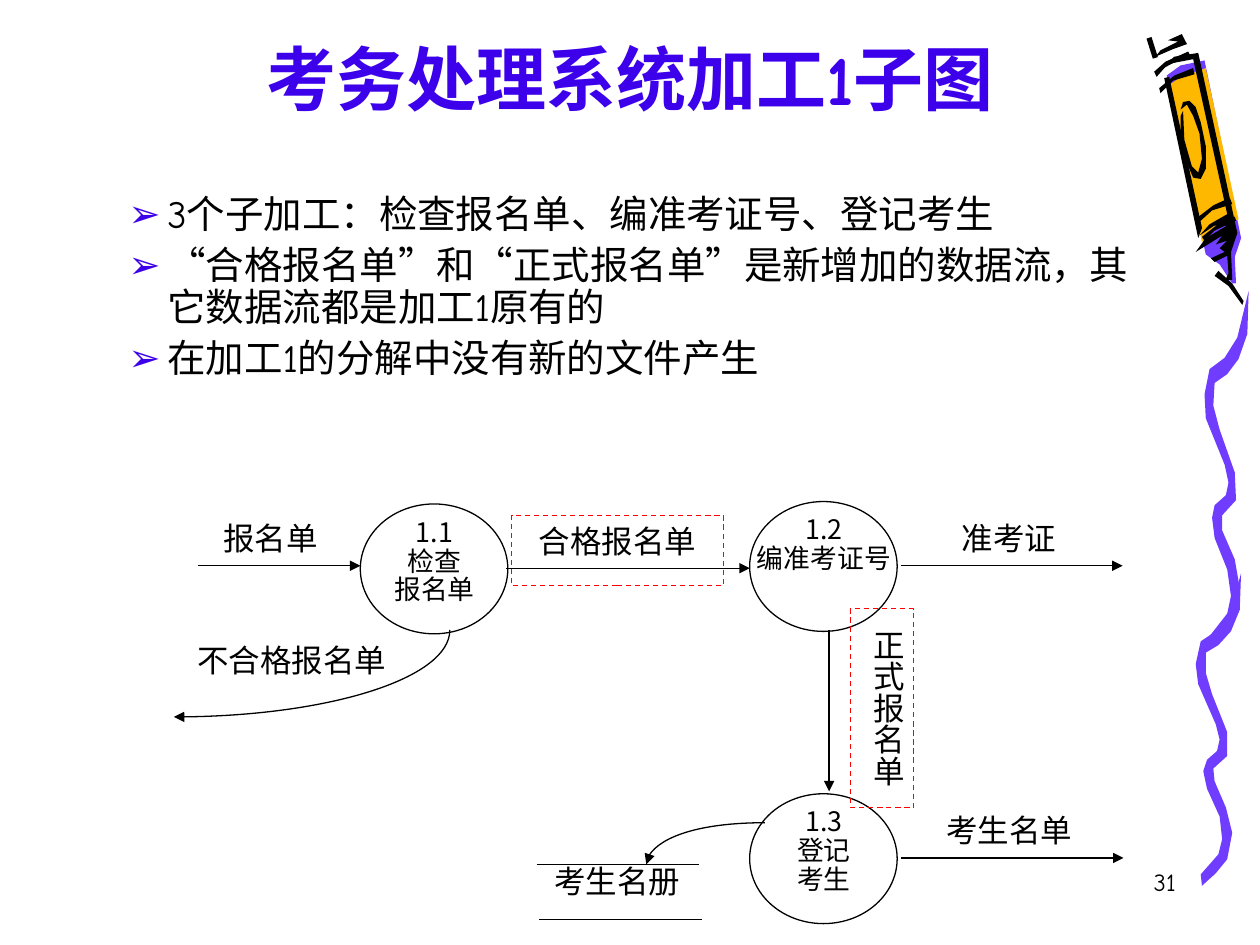
"""Build the slide on sub-diagram 1 of the examination system."""
import itertools

import lxml.etree
import pptx
import pptx.dml.color
import pptx.enum.dml
import pptx.enum.lang
import pptx.enum.shapes
import pptx.enum.text
import pptx.oxml.ns
import pptx.util

Pt = pptx.util.Pt
qn = pptx.oxml.ns.qn
RGBColor = pptx.dml.color.RGBColor
ALIGN = pptx.enum.text.PP_ALIGN
ANCHOR = pptx.enum.text.MSO_ANCHOR
SHAPE = pptx.enum.shapes.MSO_SHAPE

BLACK = RGBColor(0x00, 0x00, 0x00)
RED = RGBColor(0xFF, 0x00, 0x00)
BLUE = RGBColor(0x3D, 0x00, 0xEA)
PURPLE = RGBColor(0x70, 0x3D, 0xFF)
AMBER = RGBColor(0xFF, 0xB8, 0x00)

HUNDREDTH_INCH = Pt(0.72)

SQUIGGLES = [
    [(953, 694), (967, 678), (970, 666), (968, 648), (958, 626), (955, 612), (958, 603),
     (966, 596), (968, 587), (965, 575), (951, 543), (949, 527), (953, 509), (965, 501),
     (976, 487), (985, 455), (984, 484), (977, 501), (967, 512), (957, 518), (957, 534),
     (962, 551), (974, 581), (974, 600), (963, 610), (964, 620), (973, 641), (978, 661),
     (974, 682), (965, 693), (954, 703)],
    [(960, 505), (974, 487), (977, 473), (974, 452), (964, 427), (962, 411), (964, 401),
     (973, 393), (975, 383), (972, 369), (957, 332), (956, 313), (960, 293), (972, 284),
     (982, 268), (991, 231), (990, 265), (983, 285), (974, 297), (964, 304), (963, 322),
     (968, 341), (980, 375), (981, 397), (970, 409), (970, 421), (980, 444), (984, 467),
     (980, 491), (972, 504), (961, 515)],
]
PENCIL_SHADE = [(926, 60), (957, 202), (968, 210), (978, 225), (981, 225), (980, 204),
                (985, 189), (956, 48), (937, 52)]
PENCIL_BODY = [(954, 192), (968, 179), (983, 174), (957, 54), (936, 62), (927, 68)]
PENCIL_STROKES = [
    [(964, 219), (975, 227), (986, 242), (987, 239), (978, 225), (967, 215)],
    [(917, 45), (931, 39), (942, 35), (938, 27), (927, 32), (935, 33), (921, 40)],
    [(937, 92), (937, 106), (941, 127), (947, 141), (953, 142), (957, 134), (957, 116),
     (953, 97), (949, 85), (944, 80), (939, 81), (937, 87), (942, 83), (947, 92),
     (952, 106), (954, 126), (951, 137), (946, 132), (940, 111), (939, 88)],
    [(924, 62), (951, 189), (954, 181), (928, 61)],
    [(949, 200), (957, 189), (974, 179), (964, 179), (952, 187), (960, 178), (974, 170),
     (947, 47), (931, 50), (920, 56), (932, 45), (951, 42), (982, 185), (977, 200),
     (978, 222), (972, 223), (975, 217), (974, 203), (964, 208), (961, 205), (972, 200),
     (968, 197), (974, 191), (965, 194), (970, 187)],
    [(956, 191), (964, 183), (981, 175), (980, 172), (969, 176), (954, 188)],
    [(951, 177), (962, 167), (978, 162), (976, 157), (963, 163), (950, 173)],
    [(921, 74), (931, 64), (948, 59), (947, 54), (932, 60), (920, 70)],
    [(918, 61), (926, 52), (945, 45), (943, 41), (925, 49), (916, 57)],
]


class SlideBuilder:
    diagram_font = "Noto Sans CJK SC"
    text_font = "Comic Neue"

    def __init__(self, slide):
        self.slide = slide
        self.shapes = slide.shapes

    def format_span(self, span, size, font, color=BLACK, bold=False):
        span.font.size = Pt(size)
        span.font.bold = bold
        span.font.color.rgb = color
        span.font.name = font
        span.font.language_id = pptx.enum.lang.MSO_LANGUAGE_ID.SIMPLIFIED_CHINESE
        latin = span.font._element.find(qn("a:latin"))
        for old in span.font._element.findall(qn("a:ea")):
            span.font._element.remove(old)
        latin.addnext(latin.makeelement(qn("a:ea"), {"typeface": self.diagram_font}))

    def fill_text(self, box, text, size, font, align=ALIGN.CENTER, spacing=1.0,
                  color=BLACK, bold=False):
        frame = box.text_frame
        frame.word_wrap = True
        frame.vertical_anchor = ANCHOR.TOP
        frame.text = text
        for para in frame.paragraphs:
            para.alignment = align
            para.line_spacing = spacing
            for span in para.runs:
                self.format_span(span, size, font, color, bold)

    def place(self, box, left, top, width, height):
        box.left, box.top, box.width, box.height = map(Pt, (left, top, width, height))

    def title(self, text, *bounds):
        box = self.shapes.title
        self.place(box, *bounds)
        self.fill_text(box, text, 40, self.text_font, color=BLUE, bold=True)
        box.text_frame.vertical_anchor = ANCHOR.BOTTOM

    def bullets(self, texts, *bounds):
        box = self.slide.placeholders[1]
        self.place(box, *bounds)
        frame = box.text_frame
        frame.auto_size = pptx.enum.text.MSO_AUTO_SIZE.NONE
        for index, text in enumerate(texts):
            para = frame.add_paragraph() if index else frame.paragraphs[0]
            para.level = 1
            para.line_spacing = 0.9
            para.space_before = Pt(5.5 if index else 0)
            properties = para._p.get_or_add_pPr()
            properties.set("marL", str(Pt(58.3)))
            properties.set("indent", str(Pt(-22.3)))
            bullet_color = lxml.etree.SubElement(properties, qn("a:buClr"))
            lxml.etree.SubElement(bullet_color, qn("a:srgbClr"), val=str(BLUE))
            lxml.etree.SubElement(properties, qn("a:buChar"), char="➢")
            for quoted, letters in itertools.groupby(text, lambda letter: letter in "“”"):
                span = para.add_run()
                span.text = "".join(letters)
                self.format_span(span, 22, "Arial" if quoted else self.text_font)

    def label(self, text, left, top, width, height=40.3, size=18, font=diagram_font,
              align=ALIGN.CENTER, spacing=1.0):
        box = self.shapes.add_textbox(*map(Pt, (left, top, width, height)))
        self.fill_text(box, text, size, font, align, spacing)

    def outline(self, shape, color=BLACK, width=0.75, arrow=False):
        shape.line.color.rgb = color
        shape.line.width = Pt(width)
        if arrow:
            line = shape._element.spPr.find(qn("a:ln"))
            lxml.etree.SubElement(line, qn("a:tailEnd"), type="triangle")

    def hollow(self, kind, *bounds):
        shape = self.shapes.add_shape(kind, *map(Pt, bounds))
        shape.shadow.inherit = False
        shape.fill.background()
        return shape

    def process(self, text, left, top):
        self.outline(self.hollow(SHAPE.OVAL, left, top, 84.3, 74.2))
        self.label(text, left - 6.2, top + 5, 97.2, 68.4, size=15.3, spacing=0.9)

    def new_flow(self, text, *bounds, vertical=False):
        box = self.hollow(SHAPE.RECTANGLE, *bounds)
        self.outline(box, RED)
        box.line.dash_style = pptx.enum.dml.MSO_LINE.DASH
        self.fill_text(box, text, 18, self.diagram_font)
        if vertical:
            frame = box.text_frame
            frame.margin_left = frame.margin_right = Pt(3.6)
            frame.margin_top = Pt(12)
            frame.paragraphs[0].alignment = ALIGN.JUSTIFY
            frame._txBody.bodyPr.set("vert", "eaVert")

    def line(self, start_x, start_y, end_x, end_y, width=0.75, arrow=False):
        straight = pptx.enum.shapes.MSO_CONNECTOR.STRAIGHT
        line = self.shapes.add_connector(straight, *map(Pt, (start_x, start_y, end_x, end_y)))
        self.outline(line, width=width, arrow=arrow)
        lxml.etree.SubElement(line._element.spPr, qn("a:effectLst"))

    def freeform(self, points, close=True):
        builder = self.shapes.build_freeform(*points[0], scale=HUNDREDTH_INCH)
        builder.add_line_segments(points[1:], close=close)
        shape = builder.convert_to_shape()
        shape.shadow.inherit = False
        return shape

    def filled(self, points, color):
        shape = self.freeform(points)
        shape.fill.solid()
        shape.fill.fore_color.rgb = color
        shape.line.fill.background()

    def curve(self, points):
        shape = self.freeform(points, close=False)
        shape.fill.background()
        segments = list(shape._element.iter(qn("a:lnTo")))
        bezier = segments[0].makeelement(qn("a:cubicBezTo"), {})
        segments[0].addprevious(bezier)
        for segment in segments:
            bezier.append(segment[0])
            segment.getparent().remove(segment)
        self.outline(shape, arrow=True)


def main():
    deck = pptx.Presentation()
    deck.slide_width, deck.slide_height = Pt(720), Pt(540)
    page = SlideBuilder(deck.slides.add_slide(deck.slide_layouts[1]))

    for points in SQUIGGLES + [PENCIL_SHADE]:
        page.filled(points, PURPLE)
    page.filled(PENCIL_BODY, AMBER)
    for points in PENCIL_STROKES:
        page.filled(points, BLACK)
    page.line(656.6, 21.6, 660.2, 33.1, width=3)

    page.label("31", 529.2, 491.8, 149.8, 36, 14, page.text_font, ALIGN.RIGHT)
    page.title("考务处理系统加工1子图", 36, 12.2, 648, 59.8)
    page.bullets(["3个子加工：检查报名单、编准考证号、登记考生",
                  "“合格报名单”和“正式报名单”是新增加的数据流，其它数据流都是加工1原有的",
                  "在加工1的分解中没有新的文件产生"], 30.2, 108, 630, 120.2)

    page.process("1.1\n检查\n报名单", 205.9, 288)
    page.process("1.2\n编准考证号", 428.4, 286.6)
    page.process("1.3\n登记\n考生", 428.4, 453.6)

    for ends in [(113, 323.3, 205.9, 323.3), (289.4, 324.7, 428.4, 324.7),
                 (514.8, 323.3, 641.5, 323.3), (514.8, 490.3, 642, 490.3),
                 (473.8, 360, 473.8, 452.2)]:
        page.line(*ends, arrow=True)
    page.curve([(357, 500), (357, 538), (259, 569), (138, 569)])
    page.curve([(607, 653), (555, 653), (513, 668), (513, 686)])
    page.line(306.7, 493.9, 399.6, 493.9)
    page.line(308.2, 525.6, 401, 525.6)

    page.new_flow("合格报名单", 292.3, 294.5, 121, 40.3)
    page.new_flow("正式报名单", 486, 347.8, 36, 113.8, vertical=True)
    page.label("报名单", 107.3, 293, 94.3)
    page.label("准考证", 516.2, 293, 121)
    page.label("考生名单", 516.2, 460.1, 121)
    page.label("不合格报名单", 95.8, 362.9, 141.8)
    page.label("考生名册", 305.3, 488.9, 95)

    deck.save("out.pptx")


if __name__ == "__main__":
    main()
